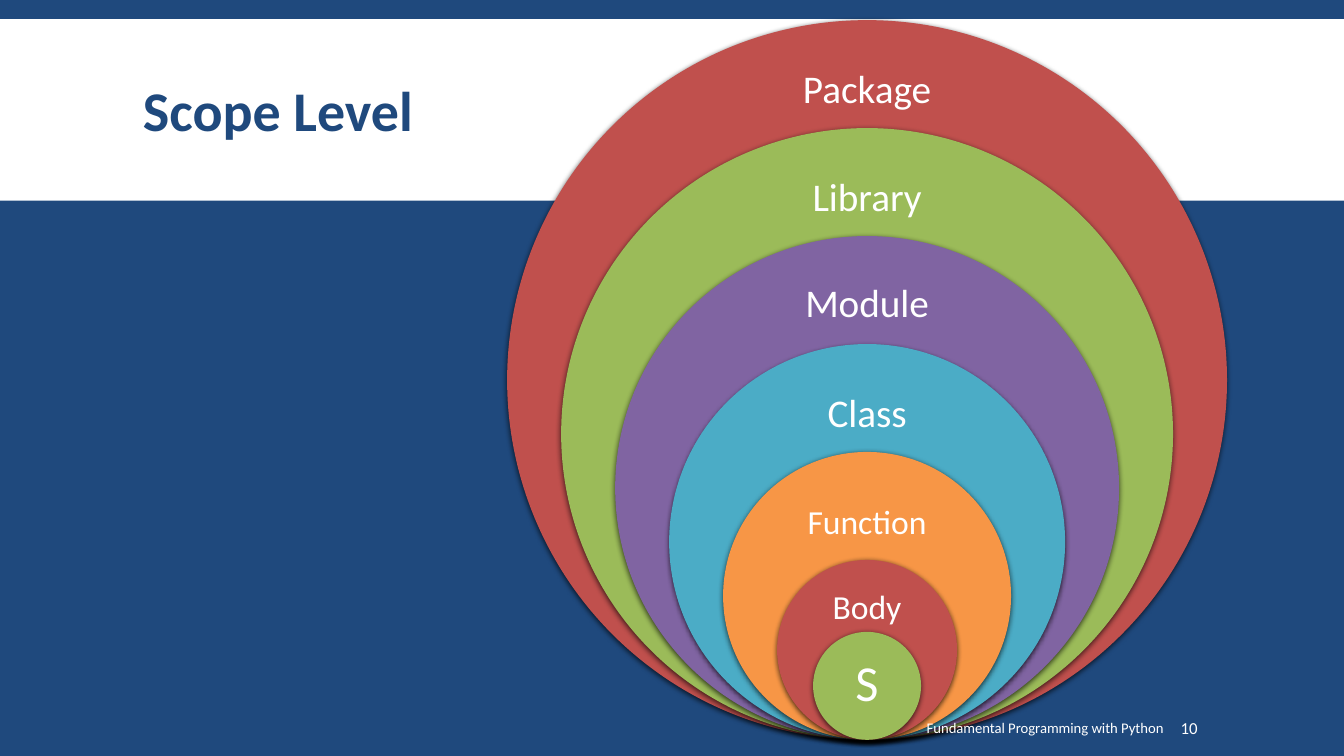
from lxml.etree import SubElement
from pptx import Presentation
from pptx.dml.color import RGBColor
from pptx.enum.shapes import MSO_SHAPE as Shape
from pptx.enum.text import MSO_ANCHOR as Anchor, PP_ALIGN as Align
from pptx.oxml import parse_xml
from pptx.oxml.ns import nsdecls
from pptx.util import Inches, Pt

NAVY, WHITE = "1F497D", "FFFFFF"
SHADOW = (f'<a:effectLst {nsdecls("a")}>'
          '<a:outerShdw blurRad="50800" dist="15240" dir="5400000" rotWithShape="0">'
          '<a:srgbClr val="000000"><a:alpha val="68000"/></a:srgbClr>'
          '</a:outerShdw></a:effectLst>')

deck = Presentation()
deck.slide_width, deck.slide_height = Inches(13.33), Inches(7.5)
slide = deck.slides.add_slide(deck.slide_layouts[6])
slide.background.fill.solid()
slide.background.fill.fore_color.rgb = RGBColor.from_string(NAVY)


def add_filled(kind, left, top, width, height, color):
    shape = slide.shapes.add_shape(
        kind, Inches(left), Inches(top), Inches(width), Inches(height))
    shape.shadow.inherit = False
    shape.fill.solid()
    shape.fill.fore_color.rgb = RGBColor.from_string(color)
    shape.line.fill.background()
    return shape


def add_text(text, left, top, width, height, size, align=Align.LEFT,
             color=WHITE, bold=False, spacing=1.0, inset=0.1):
    frame = slide.shapes.add_textbox(
        Inches(left), Inches(top), Inches(width), Inches(height)).text_frame
    frame.word_wrap = True
    frame.vertical_anchor = Anchor.MIDDLE
    frame.margin_left = frame.margin_right = Inches(inset)
    frame.margin_top = frame.margin_bottom = Inches(min(inset, 0.05))
    line = frame.paragraphs[0]
    line.text = text
    line.alignment = align
    line.line_spacing = spacing
    line.font.name, line.font.size, line.font.bold = "Calibri", Pt(size), bold
    line.font.color.rgb = RGBColor.from_string(color)


add_filled(Shape.RECTANGLE, 0, 0.19, 13.33, 1.8, WHITE)
add_text("Scope Level", 1.32, 0.31, 10.7, 1.65, 40, color=NAVY, bold=True, spacing=0.85)

OUTER, CENTER, BOTTOM = 7.14, 8.6, 7.34
scopes = [
    ("Package", 1.00, "C0504D", 28, 0.55, 2.68, 0.71),
    ("Library", 0.85, "9BBB59", 28, 1.62, 2.62, 0.70),
    ("Module", 0.70, "8064A2", 28, 2.68, 2.59, 0.69),
    ("Class", 0.55, "4BACC6", 28, 3.76, 2.12, 0.71),
    ("Function", 0.40, "F79646", 24, 4.84, 1.86, 0.71),
    ("Body", 0.25, "C0504D", 24, 5.82, 1.21, 0.43),
    ("S", 0.15, "9BBB59", 36, 6.53, 0.76, 0.54),
]
for scope, share, color, size, label_top, label_width, label_height in scopes:
    diameter = OUTER * share
    circle = add_filled(Shape.OVAL, CENTER - diameter / 2, BOTTOM - diameter,
                        diameter, diameter, color)
    properties = circle.element.spPr
    properties.replace(properties.find("{*}effectLst"), parse_xml(SHADOW))
    add_text(scope, CENTER - label_width / 2, label_top, label_width, label_height,
             size, Align.CENTER, spacing=0.9, inset=0)

add_text("Fundamental Programming with Python", 6.12, 7.02, 5.52, 0.4, 10.5, Align.RIGHT)
add_text("10", 11.66, 7.02, 1.03, 0.4, 12, inset=0.05)

deck.save("out.pptx")
